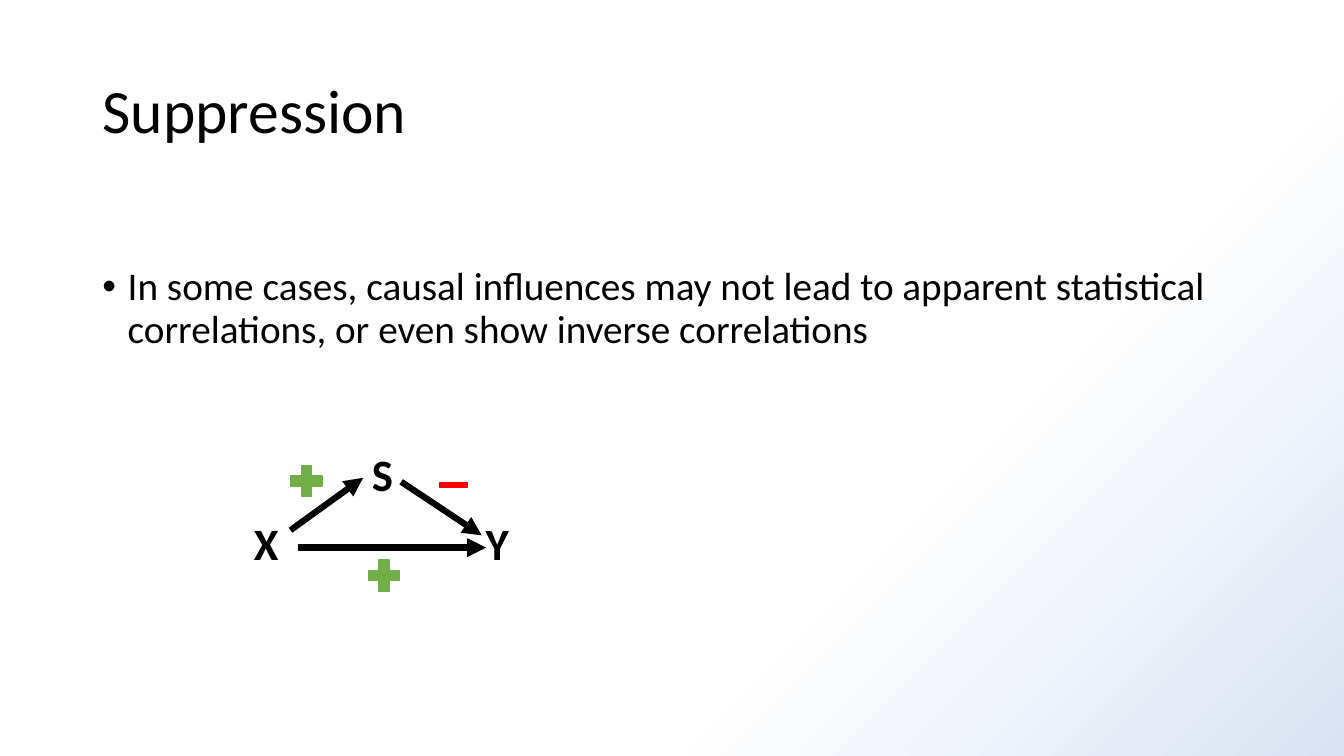
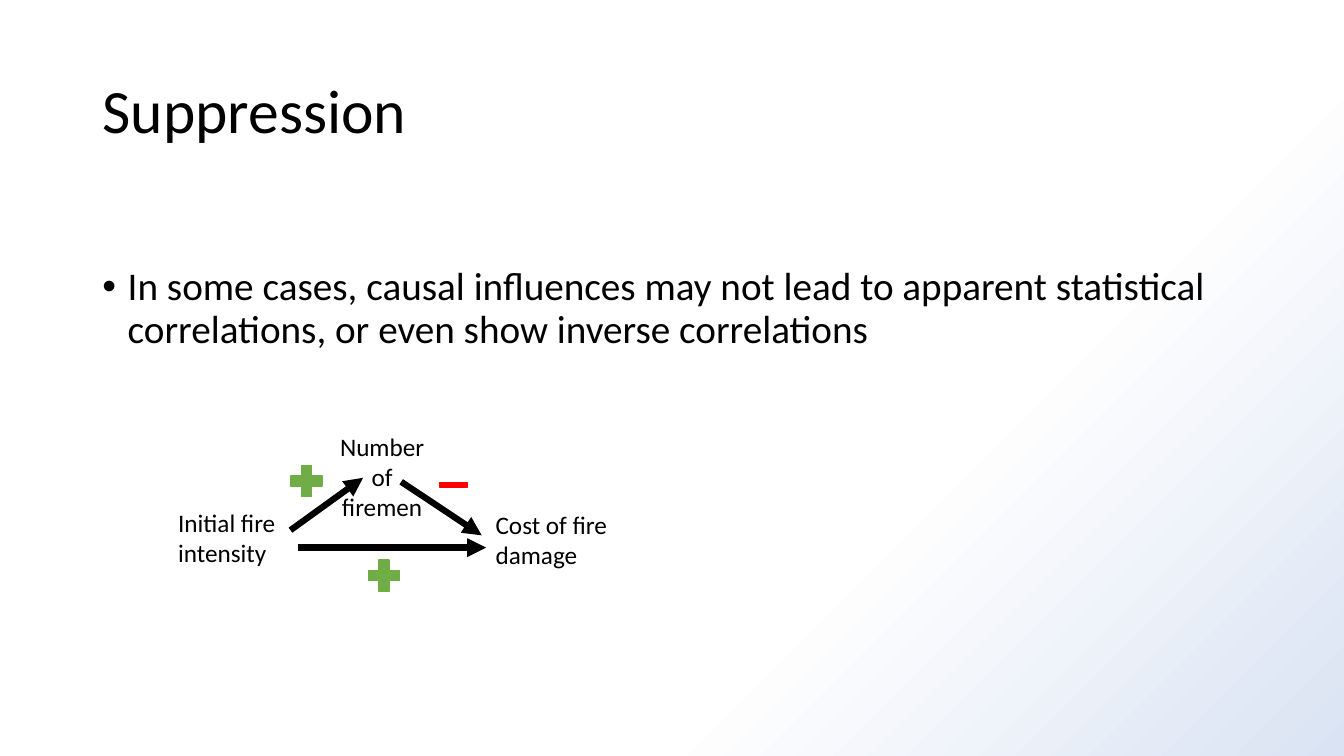
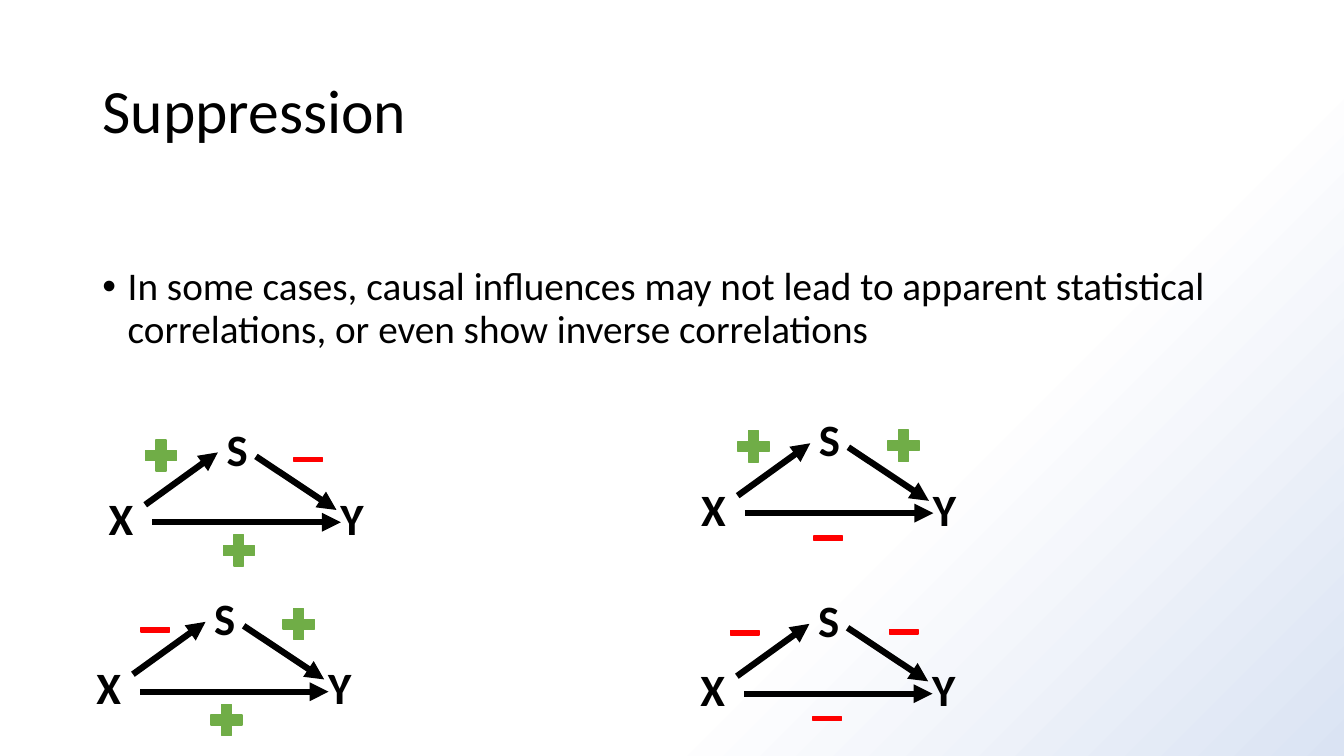
from dataclasses import dataclass

from lxml.etree import SubElement
from pptx import Presentation
from pptx.dml.color import RGBColor
from pptx.enum.shapes import MSO_CONNECTOR as Connector, MSO_SHAPE as Preset
from pptx.enum.text import MSO_ANCHOR as Anchor, MSO_AUTO_SIZE as AutoSize, PP_ALIGN as Align
from pptx.oxml.ns import qn
from pptx.util import Cm, Pt


@dataclass(frozen=True)
class Theme:
    font: str = "Calibri"
    ink: RGBColor = RGBColor(0, 0, 0)
    paper: RGBColor = RGBColor(255, 255, 255)
    tint: RGBColor = RGBColor(0xDA, 0xE3, 0xF3)
    positive: RGBColor = RGBColor(0x70, 0xAD, 0x47)
    negative: RGBColor = RGBColor(0xFF, 0, 0)
    title_size: int = 44
    body_size: int = 28
    node_size: int = 32
    label_size: int = 18
    arrow_width: float = 4.5
    line_spacing: float = 0.9


TITLE = "Suppression"
STATEMENT = (
    "In some cases, causal influences may not lead to apparent statistical "
    "correlations, or even show inverse correlations"
)
NODES = (("X", 0, 0, 1.14), ("Y", 5.84, 0, 1.14), ("S", 2.97, -1.75, 1.04))
ARROWS = ((1.17, 0.48, 3, -0.84), (1.35, 0.92, 6.1, 0.92), (3.96, -0.74, 5.99, 0.61))
DIRECT_PLUS = ("+", 3.53, 1.63)
DIRECT_MINUS = ("-", 3.45, 1.55)
FIRST_PLUS = ("+", 1.57, -0.76)
SECOND_PLUS = ("+", 5.35, -0.78)
SECOND_MINUS = ("-", 5.28, -0.66)
MIXED = (DIRECT_PLUS, FIRST_PLUS, SECOND_MINUS)
ORIGIN = (6.15, 12.88)
FIRE_LABELS = (
    ("Initial fire intensity", 4.24, 12.65, 3, 1.8, Align.LEFT),
    ("Cost of fire damage", 12.24, 12.7, 3.76, 1.8, Align.LEFT),
    ("Number of firemen", 8.13, 10.74, 3, 2.57, Align.CENTER),
)
CASES = (
    ((2.49, 12.24), MIXED),
    ((17.42, 12.01), (FIRST_PLUS, DIRECT_MINUS, SECOND_PLUS)),
    ((2.18, 16.51), (DIRECT_PLUS, SECOND_PLUS, ("-", 1.73, -0.64))),
    ((17.4, 16.56), (DIRECT_MINUS, ("-", 1.37, -0.61), ("-", 5.38, -0.64))),
)


class Deck:
    """Holds the theme and the current slide and draws each kind of element."""

    def __init__(self, theme):
        self.theme = theme
        self.presentation = Presentation()
        self.presentation.slide_width = Cm(33.87)
        self.presentation.slide_height = Cm(19.05)
        self.slide = None
        fill = self.presentation.slide_master.background.fill
        fill.gradient()
        fill.gradient_angle = 315
        stops = ((0.67, theme.paper), (1, theme.tint))
        for stop, (position, color) in zip(fill.gradient_stops, stops):
            stop.position = position
            stop.color.rgb = color

    def new_slide(self, title, statement):
        layout = self.presentation.slide_layouts.get_by_name("Title Only")
        self.slide = self.presentation.slides.add_slide(layout)
        shape = self.slide.shapes.title
        shape.left, shape.top, shape.width, shape.height = Cm(2.33), Cm(1.01), Cm(29.21), Cm(3.68)
        frame = shape.text_frame
        frame.text = title
        frame.auto_size = AutoSize.NONE
        frame.vertical_anchor = Anchor.MIDDLE
        paragraph = frame.paragraphs[0]
        paragraph.alignment = Align.LEFT
        paragraph.line_spacing = self.theme.line_spacing
        self.style(paragraph, self.theme.title_size)
        self.bullet(statement)

    def style(self, paragraph, size, bold=False):
        for run in paragraph.runs:
            font = run.font
            font.name, font.size, font.bold = self.theme.font, Pt(size), bold
            font.color.rgb = self.theme.ink

    def text(self, shapes, words, left, top, width, height, size,
             bold=False, wrap=True, align=Align.LEFT):
        box = shapes.add_textbox(Cm(left), Cm(top), Cm(width), Cm(height))
        frame = box.text_frame
        frame.text = words
        frame.word_wrap = wrap
        paragraph = frame.paragraphs[0]
        paragraph.alignment = align
        self.style(paragraph, size, bold)
        return paragraph

    def bullet(self, words):
        paragraph = self.text(self.slide.shapes, words, 2.33, 6.6, 29.21, 10.57,
                              self.theme.body_size)
        properties = paragraph._p.get_or_add_pPr()
        properties.set("marL", str(Cm(0.64)))
        properties.set("indent", str(-Cm(0.64)))
        SubElement(properties, qn("a:buFont"), typeface="Arial")
        SubElement(properties, qn("a:buChar"), char="•")
        paragraph.line_spacing = self.theme.line_spacing

    def arrow(self, shapes, start_x, start_y, end_x, end_y):
        connector = shapes.add_connector(
            Connector.STRAIGHT, Cm(start_x), Cm(start_y), Cm(end_x), Cm(end_y))
        connector.line.color.rgb = self.theme.ink
        connector.line.width = Pt(self.theme.arrow_width)
        properties = connector._element.spPr
        SubElement(properties.find(qn("a:ln")), qn("a:tailEnd"), type="triangle")
        SubElement(properties, qn("a:effectLst"))

    def sign(self, shapes, kind, center_x, center_y):
        preset, width, height, color = {
            "+": (Preset.MATH_PLUS, 1.07, 1.07, self.theme.positive),
            "-": (Preset.MATH_MINUS, 0.97, 0.46, self.theme.negative),
        }[kind]
        shape = shapes.add_shape(preset, Cm(center_x - width / 2), Cm(center_y - height / 2),
                                 Cm(width), Cm(height))
        shape.shadow.inherit = False
        shape.fill.solid()
        shape.fill.fore_color.rgb = color
        shape.line.color.rgb = color
        shape.line.width = Pt(1)

    def diagram(self, origin, signs, nodes=NODES):
        left, top = origin
        shapes = self.slide.shapes.add_group_shape().shapes
        for name, x, y, width in nodes:
            self.text(shapes, name, left + x, top + y, width, 1.63,
                      self.theme.node_size, bold=True, wrap=False)
        for start_x, start_y, end_x, end_y in ARROWS:
            self.arrow(shapes, left + start_x, top + start_y, left + end_x, top + end_y)
        for kind, x, y in signs:
            self.sign(shapes, kind, left + x, top + y)

    def label(self, words, left, top, width, height, align):
        self.text(self.slide.shapes, words, left, top, width, height,
                  self.theme.label_size, align=align)


def main():
    deck = Deck(Theme())

    deck.new_slide(TITLE, STATEMENT)
    deck.diagram(ORIGIN, MIXED)

    deck.new_slide(TITLE, STATEMENT)
    deck.diagram(ORIGIN, MIXED, nodes=())
    for label in FIRE_LABELS:
        deck.label(*label)

    deck.new_slide(TITLE, STATEMENT)
    for origin, signs in CASES:
        deck.diagram(origin, signs)

    deck.presentation.save("out.pptx")


if __name__ == "__main__":
    main()
